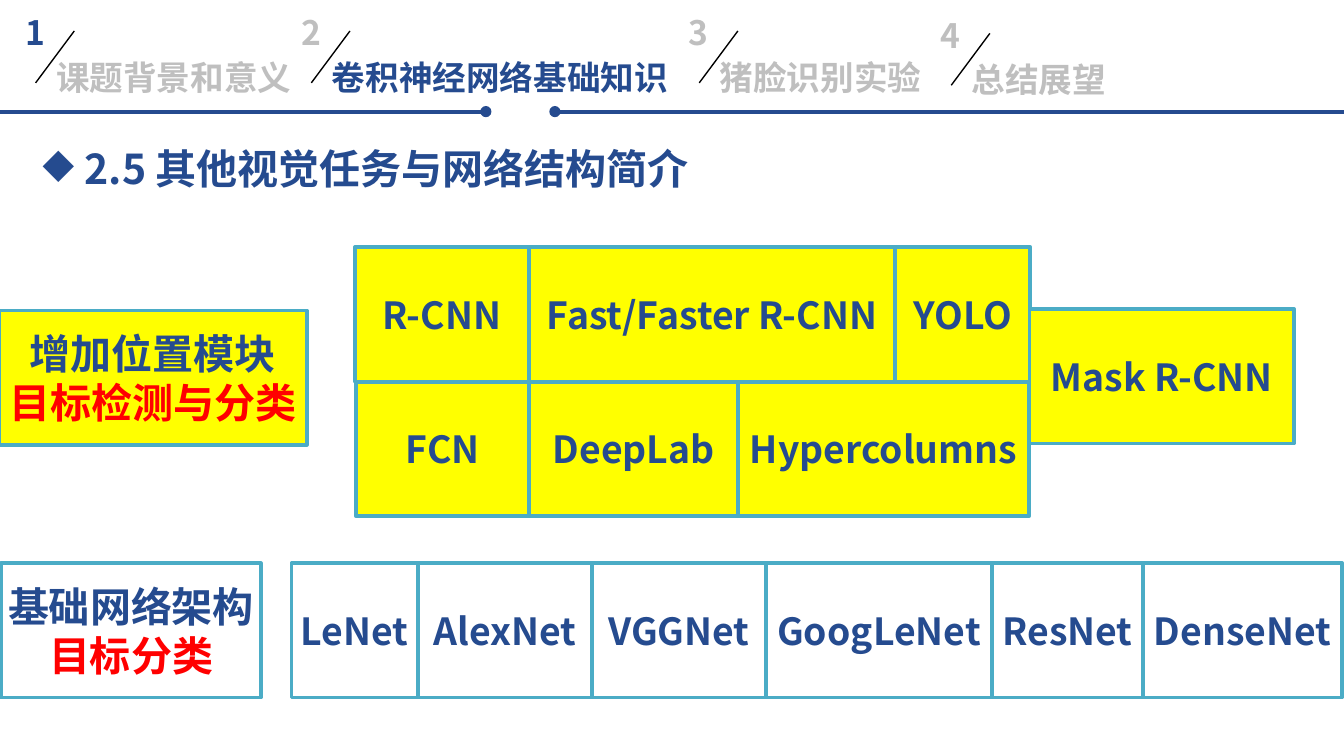
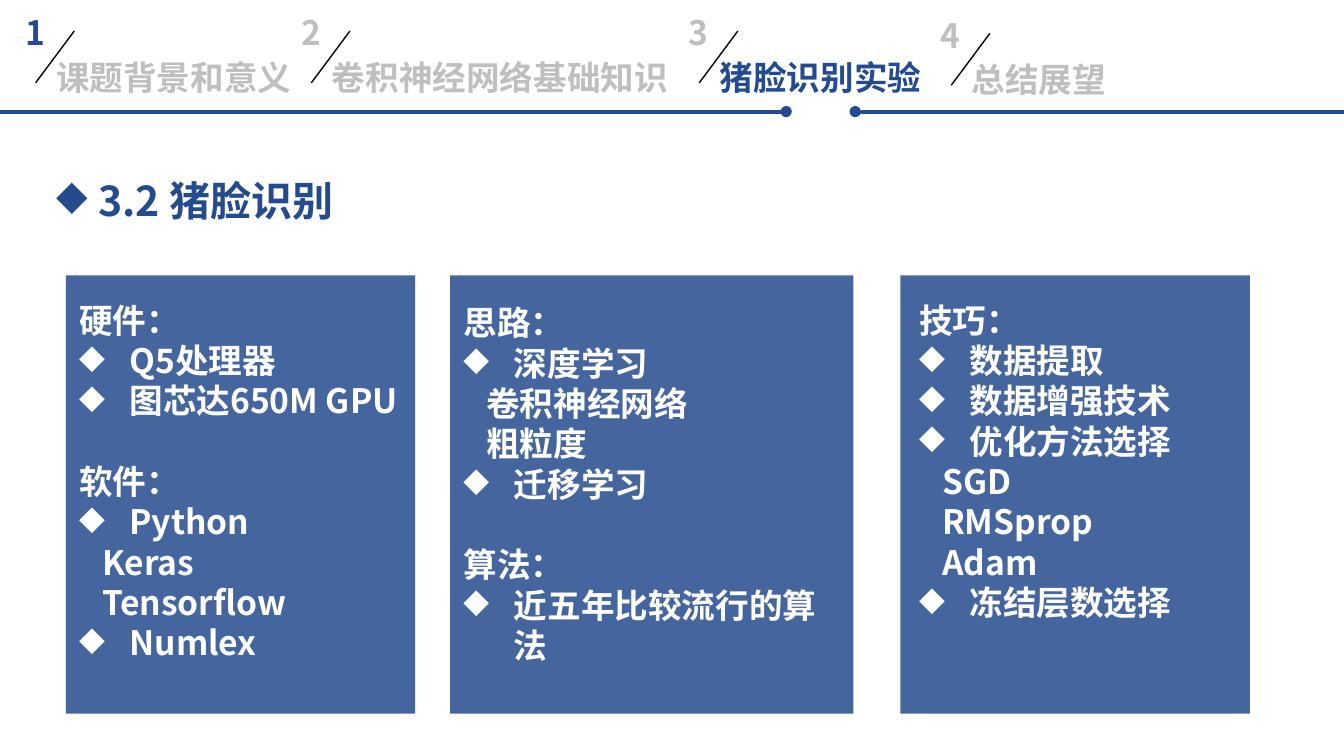
"""Builds two thesis slides: network overview and pig face recognition."""
from dataclasses import dataclass
from typing import Any

from lxml import etree
from pptx import Presentation
from pptx.dml.color import RGBColor
from pptx.enum import shapes, text
from pptx.oxml import ns
from pptx.util import Pt

FONT = "Noto Sans CJK SC"
BLUE, GREY, RED, BLACK = "254B8F", "BFBFBF", "FF0000", "000000"
WHITE, YELLOW, TEAL = "FFFFFF", "FFFF00", "4BACC6"
PAGE_WIDTH, PAGE_HEIGHT = 720, 405
RULE_TOP, RULE_GAP, DOT = 59.8, 37, 6
CELL_HEIGHT = 72
CARD_TOP, CARD_HEIGHT = 147.6, 234.7


@dataclass(frozen=True)
class Tab:
    label: str
    left: float
    top: float = 3


@dataclass(frozen=True)
class Line:
    words: str
    size: float = 18
    color: str = WHITE
    centred: bool = False
    bullet: bool = False
    indent: float = 0
    spacing: float = 0
    before: float = 0


@dataclass(frozen=True)
class Cell:
    width: float
    name: str
    task: str = ""


@dataclass(frozen=True)
class Row:
    left: float
    top: float
    fill: str
    cells: tuple[Cell, ...]


@dataclass(frozen=True)
class Card:
    left: float
    width: float
    inset_left: float
    inset_top: float
    lines: tuple[Line, ...]


def head(words: str, before: float = 0) -> Line:
    return Line(words, before=before)


def item(words: str) -> Line:
    return Line(words, bullet=True, indent=27)


def sub(words: str) -> Line:
    return Line(words, indent=12.3)


TABS = (
    Tab("课题背景和意义", 6.5),
    Tab("卷积神经网络基础知识", 154.2),
    Tab("猪脸识别实验", 362),
    Tab("总结展望", 497, 4.3),
)

ROWS = (
    Row(-0.7, 166.3, YELLOW, (Cell(165, "增加位置模块", "目标检测与分类"),)),
    Row(0.7, 301.7, WHITE, (Cell(139, "基础网络架构", "目标分类"),)),
    Row(156.2, 301.7, WHITE, (
        Cell(67.7, "LeNet"), Cell(93.2, "AlexNet"), Cell(93.3, "VGGNet"),
        Cell(121, "GoogLeNet"), Cell(81, "ResNet"), Cell(106.6, "DenseNet"),
    )),
    Row(190.6, 204.5, YELLOW, (
        Cell(93, "FCN"), Cell(111.7, "DeepLab"), Cell(156.2, "Hypercolumns"),
    )),
    Row(190.1, 132.5, YELLOW, (
        Cell(93.2, "R-CNN"), Cell(196.3, "Fast/Faster R-CNN"), Cell(72.4, "YOLO"),
    )),
    Row(551.5, 165.6, YELLOW, (Cell(141.8, "Mask R-CNN"),)),
)

CARDS = (
    Card(35.3, 187.2, 7.2, 13, (
        head("硬件："), item("Q5处理器"), item("图芯达650M GPU"),
        head("软件：", 21.6), item("Python"), sub("Keras"), sub("Tensorflow"),
        item("Numlex"),
    )),
    Card(241.2, 216, 7.2, 14.4, (
        head("思路："), item("深度学习"), sub("卷积神经网络"), sub("粗粒度"),
        item("迁移学习"), head("算法：", 21.6), item("近五年比较流行的算法"),
    )),
    Card(482.4, 187.2, 10, 13, (
        head("技巧："), item("数据提取"), item("数据增强技术"), item("优化方法选择"),
        sub("SGD"), sub("RMSprop"), sub("Adam"), item("冻结层数选择"),
    )),
)


def rgb(color: str) -> RGBColor:
    """Turn a hex string into a colour."""
    return RGBColor.from_string(color)


def style_paragraph(para: Any, line: Line) -> None:
    """Write one line of text with its font, spacing, indent and bullet."""
    para.add_run().text = line.words
    para.alignment = text.PP_ALIGN.CENTER if line.centred else text.PP_ALIGN.LEFT
    para.line_spacing = Pt(line.spacing or line.size * 1.2)
    para.space_before = Pt(line.before)
    font = para.font
    font.size, font.bold, font.name = Pt(line.size), True, FONT
    font.color.rgb = rgb(line.color)
    properties = para._p.get_or_add_pPr()
    defaults = properties.find(ns.qn("a:defRPr"))
    etree.SubElement(defaults, ns.qn("a:ea")).set("typeface", FONT)
    properties.set("marL", str(Pt(line.indent)))
    properties.set("indent", str(Pt(-line.indent if line.bullet else 0)))
    if line.bullet:
        tint = etree.Element(ns.qn("a:buClr"))
        etree.SubElement(tint, ns.qn("a:srgbClr")).set("val", line.color)
        mark = etree.Element(ns.qn("a:buChar"))
        mark.set("char", "◆")
        defaults.addprevious(tint)
        defaults.addprevious(mark)


def fill_text(shape: Any, lines: tuple[Line, ...]) -> None:
    """Put the lines into the text frame of a shape."""
    frame = shape.text_frame
    for index, line in enumerate(lines):
        para = frame.add_paragraph() if index else frame.paragraphs[0]
        style_paragraph(para, line)


def add_text(parent: Any, left: float, top: float, width: float, height: float,
             line: Line) -> None:
    """Add an unwrapped text box holding one line."""
    box = parent.shapes.add_textbox(Pt(left), Pt(top), Pt(width), Pt(height))
    box.text_frame.word_wrap = False
    fill_text(box, (line,))


def add_block(page: Any, kind: Any, left: float, top: float, width: float,
              height: float, fill: str, outline: str = "") -> Any:
    """Add a filled preset shape, outlined if a colour is given."""
    block = page.shapes.add_shape(kind, Pt(left), Pt(top), Pt(width), Pt(height))
    block.shadow.inherit = False
    block.fill.solid()
    block.fill.fore_color.rgb = rgb(fill)
    if outline:
        block.line.color.rgb = rgb(outline)
        block.line.width = Pt(2)
    else:
        block.line.fill.background()
    return block


def add_line(parent: Any, start: tuple[float, float], end: tuple[float, float],
             color: str, width: float) -> None:
    """Add a straight line without shadow."""
    line = parent.shapes.add_connector(
        shapes.MSO_CONNECTOR.STRAIGHT, *map(Pt, start), *map(Pt, end))
    line.line.color.rgb = rgb(color)
    line.line.width = Pt(width)
    etree.SubElement(line._element.spPr, ns.qn("a:effectLst"))


def draw_navigation(page: Any, active: int, gap_left: float) -> None:
    """Draw the chapter tabs and the split rule below them."""
    for edge, end in ((0, gap_left), (PAGE_WIDTH, gap_left + RULE_GAP)):
        add_line(page, (end, RULE_TOP), (edge, RULE_TOP), BLUE, 2.25)
        add_block(page, shapes.MSO_SHAPE.OVAL, end - DOT / 2, RULE_TOP - DOT / 2,
                  DOT, DOT, BLUE)
    for number, tab in enumerate(TABS, 1):
        group = page.shapes.add_group_shape()
        add_text(group, tab.left, tab.top, 26, 29,
                 Line(str(number), color=BLUE if number == 1 else GREY))
        add_line(group, (tab.left + 33.3, tab.top + 13.6),
                 (tab.left + 12.6, tab.top + 41.4), BLACK, 0.75)
        add_text(group, tab.left + 16.5, tab.top + 23.8, 18 * len(tab.label) + 15, 29,
                 Line(tab.label, color=BLUE if number == active else GREY))


def draw_title(page: Any, words: str, left: float, top: float) -> None:
    """Draw the bulleted section title."""
    add_text(page, left, top, 366.5, 41.8,
             Line(words, 22, BLUE, bullet=True, indent=22.5, spacing=34))


def draw_row(page: Any, row: Row) -> None:
    """Draw adjoining network cells from left to right."""
    left = row.left
    for cell in row.cells:
        block = add_block(page, shapes.MSO_SHAPE.RECTANGLE, left, row.top,
                          cell.width, CELL_HEIGHT, row.fill, TEAL)
        frame = block.text_frame
        frame.word_wrap = True
        frame.margin_left = frame.margin_right = 0
        frame.vertical_anchor = text.MSO_ANCHOR.MIDDLE
        lines = (Line(cell.name, 22 if cell.task else 20, BLUE, True),)
        if cell.task:
            lines += (Line(cell.task, 22, RED, True),)
        fill_text(block, lines)
        left += cell.width


def draw_card(page: Any, card: Card) -> None:
    """Draw a translucent card with its list."""
    block = add_block(page, shapes.MSO_SHAPE.RECTANGLE, card.left, CARD_TOP,
                      card.width, CARD_HEIGHT, BLUE)
    tint = block._element.spPr.find(".//" + ns.qn("a:srgbClr"))
    etree.SubElement(tint, ns.qn("a:alpha")).set("val", "85000")
    frame = block.text_frame
    frame.word_wrap = True
    frame.vertical_anchor = text.MSO_ANCHOR.TOP
    frame.margin_left, frame.margin_top = Pt(card.inset_left), Pt(card.inset_top)
    fill_text(block, card.lines)


def main() -> None:
    """Build and save the deck."""
    deck = Presentation()
    deck.slide_width, deck.slide_height = Pt(PAGE_WIDTH), Pt(PAGE_HEIGHT)
    blank = deck.slide_layouts[6]

    networks = deck.slides.add_slide(blank)
    draw_navigation(networks, 2, 260.3)
    draw_title(networks, "2.5 其他视觉任务与网络结构简介", 15.8, 65.5)
    for row in ROWS:
        draw_row(networks, row)

    recognition = deck.slides.add_slide(blank)
    draw_navigation(recognition, 3, 421.2)
    draw_title(recognition, "3.2 猪脸识别", 23, 82.8)
    for card in CARDS:
        draw_card(recognition, card)

    deck.save("out.pptx")


if __name__ == "__main__":
    main()
